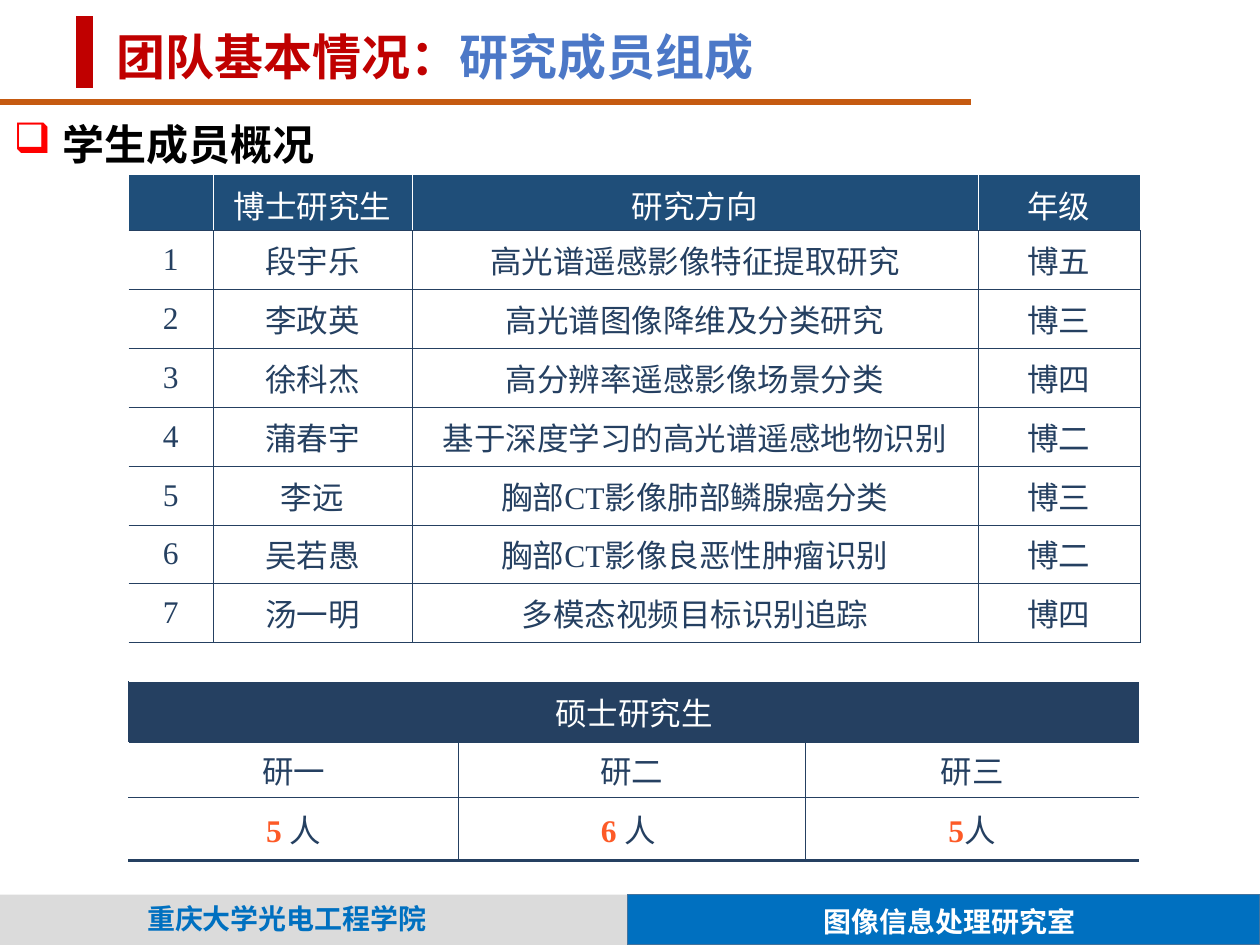
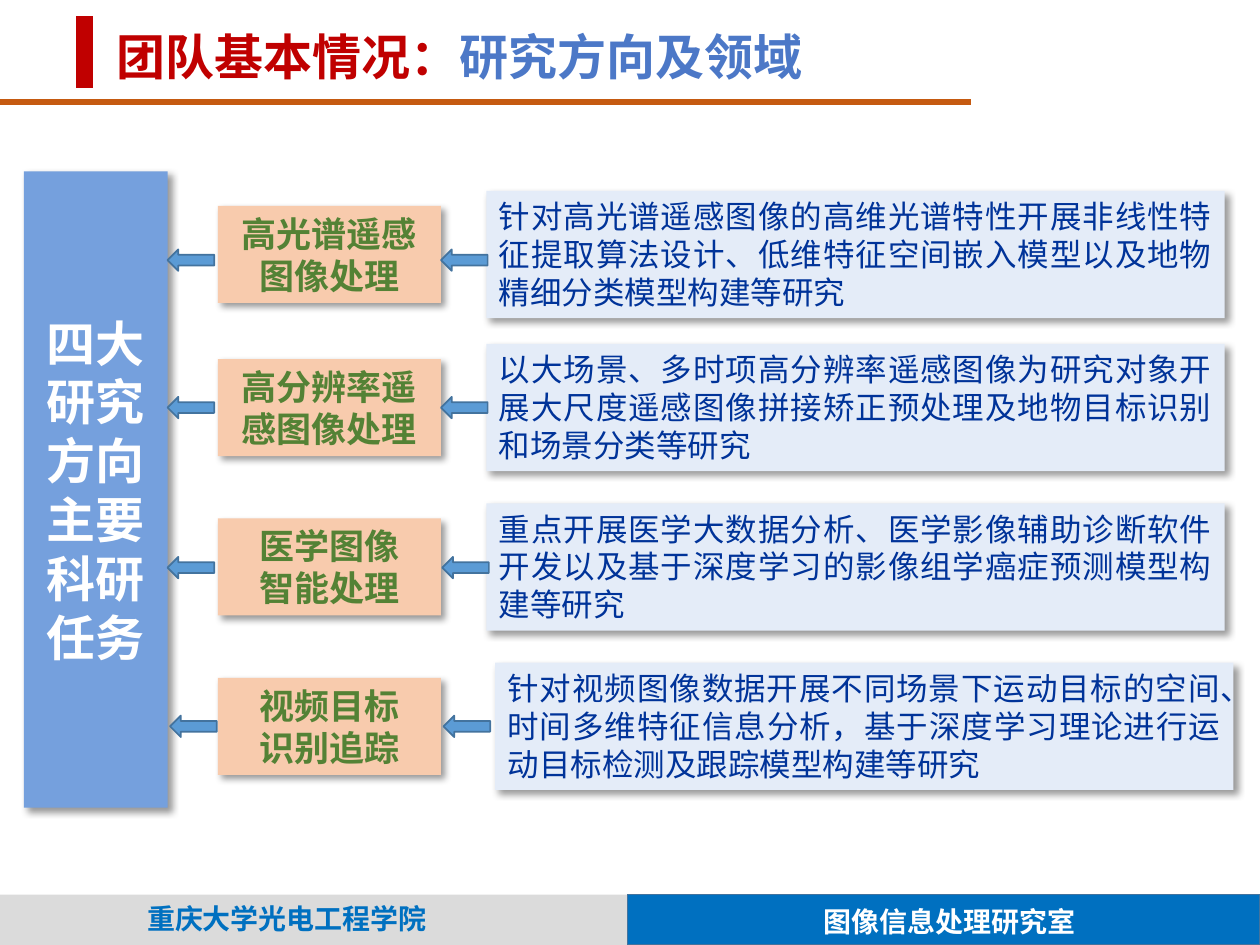
from dataclasses import dataclass

from lxml.etree import SubElement
from pptx import Presentation
from pptx.dml.color import RGBColor
from pptx.enum.shapes import MSO_CONNECTOR, MSO_SHAPE
from pptx.enum.text import MSO_ANCHOR, PP_ALIGN
from pptx.oxml.ns import qn
from pptx.util import Inches, Pt

# The grid divides the slide into equal columns and rows
COLUMNS, ROWS = 100, 75


@dataclass(frozen=True)
class Theme:
    # Colours
    red: str = "C00000"
    title_blue: str = "4C78C7"
    rule: str = "C55A11"
    white: str = "FFFFFF"
    black: str = "000000"
    bullet: str = "FF0000"
    band_grey: str = "DBDBDB"
    band_blue: str = "0070C0"
    outline: str = "43739E"
    header: str = "1F4E79"
    navy: str = "254061"
    count: str = "FD5A27"
    panel: str = "75A0DD"
    topic: str = "F8CBAD"
    topic_text: str = "548235"
    detail: str = "E4ECF8"
    detail_text: str = "003399"
    arrow: str = "5B9BD5"
    # Fonts and type sizes
    title_font: str = "Calibri"
    sans: str = "Noto Sans CJK SC"
    serif: str = "Times New Roman"
    title: int = 28
    heading: int = 24
    label: int = 20
    body: int = 18
    footer: int = 16


def rgb(value):
    return RGBColor.from_string(value)


def add_solid(parent, value):
    fill = SubElement(parent, qn("a:solidFill"))
    return SubElement(fill, qn("a:srgbClr"), val=value)


def write(frame, paragraphs, *, font, size, color, bold=False, align=None,
          anchor=MSO_ANCHOR.TOP, wrap=True, bullet=None):
    """Fill a text frame; a paragraph is a string or a list of
    (text, changes) runs, where changes may hold color and bold."""
    frame.word_wrap = wrap
    frame.vertical_anchor = anchor
    if isinstance(paragraphs, str):
        paragraphs = [paragraphs]
    for index, content in enumerate(paragraphs):
        paragraph = frame.add_paragraph() if index else frame.paragraphs[0]
        if bullet:
            add_bullet(paragraph, *bullet)
        paragraph.alignment = align
        runs = [(content, {})] if isinstance(content, str) else content
        for text, changes in runs:
            run = paragraph.add_run()
            run.text = text
            run.font.name = font
            run.font.size = Pt(size)
            run.font.bold = changes.get("bold", bold)
            run.font.color.rgb = rgb(changes.get("color", color))
            SubElement(run.font._element, qn("a:ea"), typeface=Theme.sans)


def add_bullet(paragraph, symbol, color, indent):
    properties = paragraph._p.get_or_add_pPr()
    properties.set("marL", str(indent))
    properties.set("indent", str(-indent))
    bullet_color = SubElement(properties, qn("a:buClr"))
    SubElement(bullet_color, qn("a:srgbClr"), val=color)
    SubElement(properties, qn("a:buChar"), char=symbol)


def set_borders(cell, left, right, top, bottom):
    """Each side is (colour, points), or None for no line."""
    properties = cell._tc.get_or_add_tcPr()
    for side, style in zip("LRTB", (left, right, top, bottom)):
        width = Pt(style[1]) if style else 0
        line = SubElement(properties, qn(f"a:ln{side}"), w=str(width))
        if style:
            add_solid(line, style[0])
        else:
            SubElement(line, qn("a:noFill"))


class Deck:
    def __init__(self, theme):
        self.theme = theme
        self.file = Presentation()
        self.file.slide_width, self.file.slide_height = Inches(10), Inches(7.5)
        self.slide = None

    def x(self, columns):
        return round(self.file.slide_width * columns / COLUMNS)

    def y(self, rows):
        return round(self.file.slide_height * rows / ROWS)

    def place(self, left, top, width, height):
        return self.x(left), self.y(top), self.x(width), self.y(height)

    def line(self, start, end, color, width):
        line = self.slide.shapes.add_connector(
            MSO_CONNECTOR.STRAIGHT, self.x(start[0]), self.y(start[1]),
            self.x(end[0]), self.y(end[1]))
        line.line.color.rgb = rgb(color)
        line.line.width = Pt(width)
        SubElement(line._element.spPr, qn("a:effectLst"))

    def shape(self, at, fill, kind=MSO_SHAPE.RECTANGLE, outline=None,
              shadow=False, rotation=0):
        shape = self.slide.shapes.add_shape(kind, *self.place(*at))
        shape.rotation = rotation
        shape.fill.solid()
        shape.fill.fore_color.rgb = rgb(fill)
        if outline:
            shape.line.color.rgb = rgb(outline)
            shape.line.width = Pt(1)
        else:
            shape.line.fill.background()
        shape.shadow.inherit = False
        if shadow:
            effects = shape._element.spPr.find(qn("a:effectLst"))
            outer = SubElement(
                effects, qn("a:outerShdw"), blurRad=str(Pt(4)),
                dist=str(Pt(3)), dir=str(45 * 60000), algn="tl",
                rotWithShape="0")
            tint = SubElement(outer, qn("a:srgbClr"), val=self.theme.black)
            SubElement(tint, qn("a:alpha"), val="40000")
        return shape

    def text(self, at, paragraphs, **style):
        box = self.slide.shapes.add_textbox(*self.place(*at))
        write(box.text_frame, paragraphs, **style)

    def card(self, at, fill, paragraphs, **style):
        write(self.shape(at, fill, shadow=True).text_frame, paragraphs, **style)

    def table(self, left, top, widths, heights):
        table = self.slide.shapes.add_table(
            len(heights), len(widths),
            *self.place(left, top, sum(widths), sum(heights))).table
        table.first_row = table.horz_banding = False
        for column, width in zip(table.columns, widths):
            column.width = self.x(width)
        for row, height in zip(table.rows, heights):
            row.height = self.y(height)
        return table

    def cell(self, cell, paragraphs, margins, borders, fill=None, **style):
        cell.margin_left = cell.margin_right = self.x(margins[0])
        cell.margin_top = cell.margin_bottom = self.y(margins[1])
        set_borders(cell, *borders)
        if fill:
            cell.fill.solid()
            cell.fill.fore_color.rgb = rgb(fill)
        else:
            cell.fill.background()
        cell.vertical_anchor = MSO_ANCHOR.MIDDLE
        write(cell.text_frame, paragraphs, font=self.theme.serif,
              size=self.theme.body, align=PP_ALIGN.CENTER,
              anchor=None, wrap=None, **style)
        cell.vertical_anchor = MSO_ANCHOR.MIDDLE

    def new_slide(self, subject):
        """Start a slide with the shared title, rules and footer."""
        t = self.theme
        self.slide = self.file.slides.add_slide(self.file.slide_layouts[6])
        self.line((-0.1, 8.1), (77.1, 8.1), t.rule, 3)
        self.line((6.7, 1.3), (6.7, 7), t.red, 10)
        self.shape((0, 71, 49.8, 4), t.band_grey)
        self.shape((49.8, 71, 50.2, 4), t.band_blue, outline=t.outline)
        footer = dict(font=t.sans, size=t.footer, bold=True,
                      anchor=MSO_ANCHOR.MIDDLE, wrap=False)
        self.text((10.7, 71, 28.3, 3.7), "重庆大学光电工程学院",
                  color=t.band_blue, **footer)
        self.text((64.4, 71.3, 22.9, 3.7), "图像信息处理研究室",
                  color=t.white, **footer)
        self.text((8.3, 1.3, 91.7, 6.2),
                  [[("团队基本情况：", {}), (subject, {"color": t.title_blue})]],
                  font=t.title_font, size=t.title, color=t.red, bold=True,
                  anchor=MSO_ANCHOR.MIDDLE)


DOCTORAL_HEADER = ("", "博士研究生", "研究方向", "年级")
DOCTORAL_STUDENTS = (
    ("段宇乐", "高光谱遥感影像特征提取研究", "博五"),
    ("李政英", "高光谱图像降维及分类研究", "博三"),
    ("徐科杰", "高分辨率遥感影像场景分类", "博四"),
    ("蒲春宇", "基于深度学习的高光谱遥感地物识别", "博二"),
    ("李远", "胸部CT影像肺部鳞腺癌分类", "博三"),
    ("吴若愚", "胸部CT影像良恶性肿瘤识别", "博二"),
    ("汤一明", "多模态视频目标识别追踪", "博四"),
)
MASTER_YEARS = (("研一", "5 ", "人"), ("研二", "6 ", "人 "), ("研三", "5", "人"))

# Row centre, arrow centre, shift of arrows, left of detail, topic, detail
DIRECTIONS = (
    (20.2, 20.65, (0, 0), 38.6, ["高光谱遥感", "图像处理"],
     "针对高光谱遥感图像的高维光谱特性开展非线性特征提取算法设计、"
     "低维特征空间嵌入模型以及地物精细分类模型构建等研究"),
    (32.35, 32.35, (0, 0), 38.6, "高分辨率遥感图像处理",
     "以大场景、多时项高分辨率遥感图像为研究对象开展大尺度遥感图像"
     "拼接矫正预处理及地物目标识别和场景分类等研究"),
    (45, 45.05, (0, 0.1), 38.6, ["医学图像", "智能处理"],
     "重点开展医学大数据分析、医学影像辅助诊断软件开发以及基于深度"
     "学习的影像组学癌症预测模型构建等研究"),
    (57.65, 57.65, (0.2, 0.2), 39.3, ["视频目标", "识别追踪"],
     "针对视频图像数据开展不同场景下运动目标的空间、时间多维特征信息"
     "分析，基于深度学习理论进行运动目标检测及跟踪模型构建等研究"),
)


def members_slide(deck):
    t = deck.theme
    deck.new_slide("研究成员组成")
    deck.text((0.1, 8.9, 26.8, 5), "学生成员概况", font=t.serif,
              size=t.heading, color=t.black, bold=True, wrap=False,
              align=PP_ALIGN.LEFT, bullet=("❑", t.bullet, deck.x(3.9)))
    thin, white = (t.navy, 0.25), (t.white, 0.25)

    # Doctoral students
    doctoral = deck.table(10.2, 13.9, (6.7, 15.8, 44.9, 12.9),
                          [4.4] + [4.67] * len(DOCTORAL_STUDENTS))
    rows = [DOCTORAL_HEADER] + [
        (str(number), *student)
        for number, student in enumerate(DOCTORAL_STUDENTS, 1)]
    for r, row in enumerate(rows):
        for c, value in enumerate(row):
            side = thin if r else white
            deck.cell(doctoral.cell(r, c), value,
                      (0.4 if r and c in (1, 3) else 1, 0.5),
                      (side if c else None, side, thin if r else None, thin),
                      fill=None if r else t.header,
                      color=t.navy if r else t.white)

    # Master students
    master = deck.table(10.2, 54.1, (26.2, 27.5, 26.5), (4.8, 4.4, 5))
    master.cell(0, 0).merge(master.cell(0, 2))
    deck.cell(master.cell(0, 0), "硕士研究生", (0.2, 0),
              ((t.navy, 1), white, white, thin), fill=t.navy, color=t.white)
    last = len(MASTER_YEARS) - 1
    for c, (year, count, unit) in enumerate(MASTER_YEARS):
        left, right = thin if c else white, thin if c < last else white
        people = [[(count, {"color": t.count, "bold": True}), (unit, {})]]
        for r, content, bottom in ((1, year, thin), (2, people, (t.navy, 1.5))):
            deck.cell(master.cell(r, c), content, (0.2, 0),
                      (left, right, thin, bottom), color=t.navy)


def directions_slide(deck):
    t = deck.theme
    deck.new_slide("研究方向及领域")
    deck.card((1.9, 13.6, 11.4, 50.5), t.panel, "四大研究方向主要科研任务",
              font=t.title_font, size=t.title, color=t.white, bold=True,
              align=PP_ALIGN.CENTER, anchor=MSO_ANCHOR.MIDDLE)
    topic_height, detail_height = 7.7, 10.1
    arrow_width, arrow_length = 1.7, 3.7
    for centre, arrow_centre, shifts, left, topic, detail in DIRECTIONS:
        deck.card((17.3, centre - topic_height / 2, 17.7, topic_height),
                  t.topic, topic, font=t.sans, size=t.label,
                  color=t.topic_text, bold=True, align=PP_ALIGN.CENTER)
        deck.card((left, centre - detail_height / 2, 58.6, detail_height),
                  t.detail, detail, font=t.sans, size=t.body,
                  color=t.detail_text, align=PP_ALIGN.JUSTIFY)
        for start, shift in zip((14.3, 36), shifts):
            deck.shape((start + shift, arrow_centre - arrow_length / 2,
                        arrow_width, arrow_length), t.arrow,
                       kind=MSO_SHAPE.DOWN_ARROW, outline=t.outline, rotation=90)


def main():
    deck = Deck(Theme())
    members_slide(deck)
    directions_slide(deck)
    deck.file.save("out.pptx")


if __name__ == "__main__":
    main()
